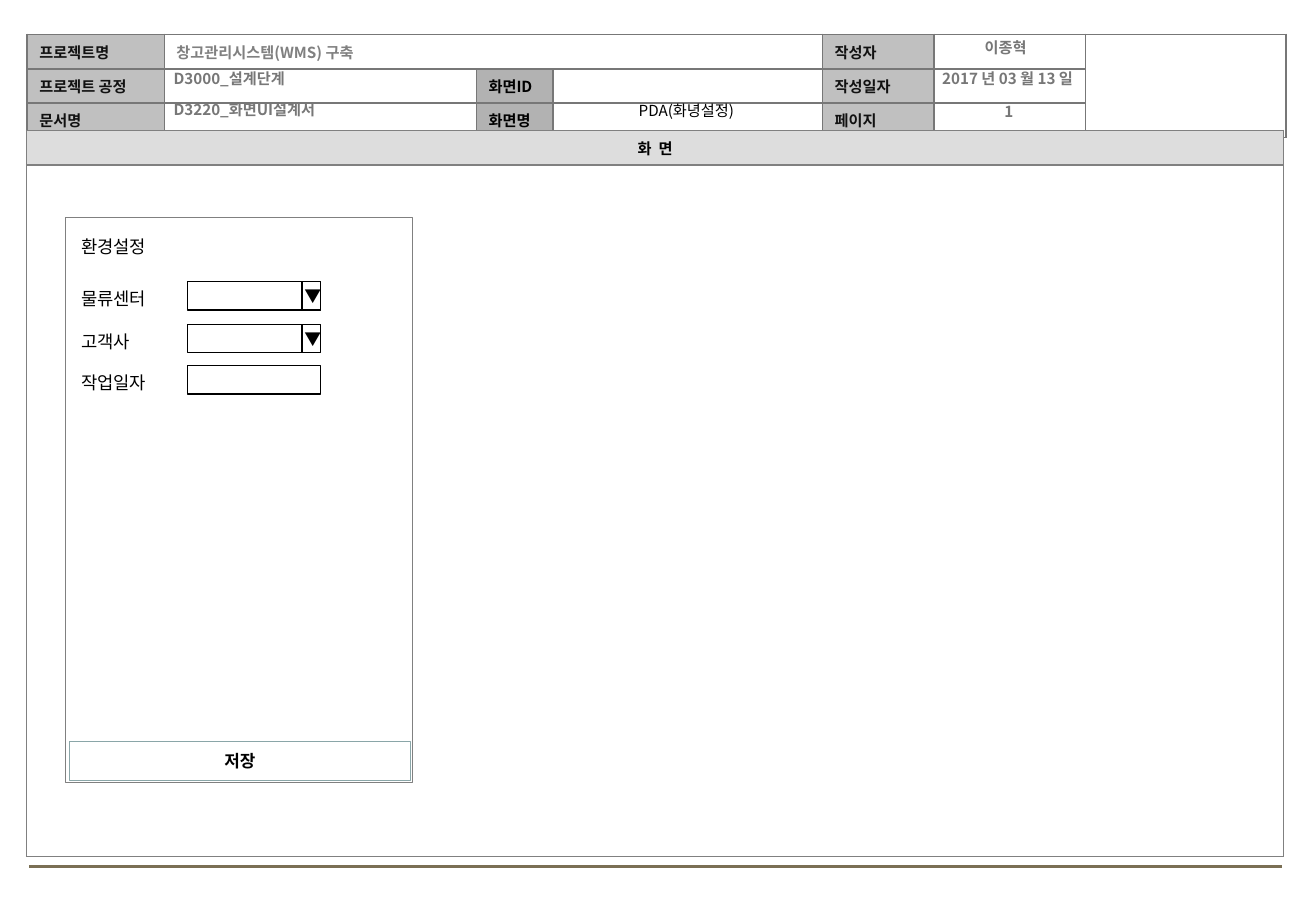
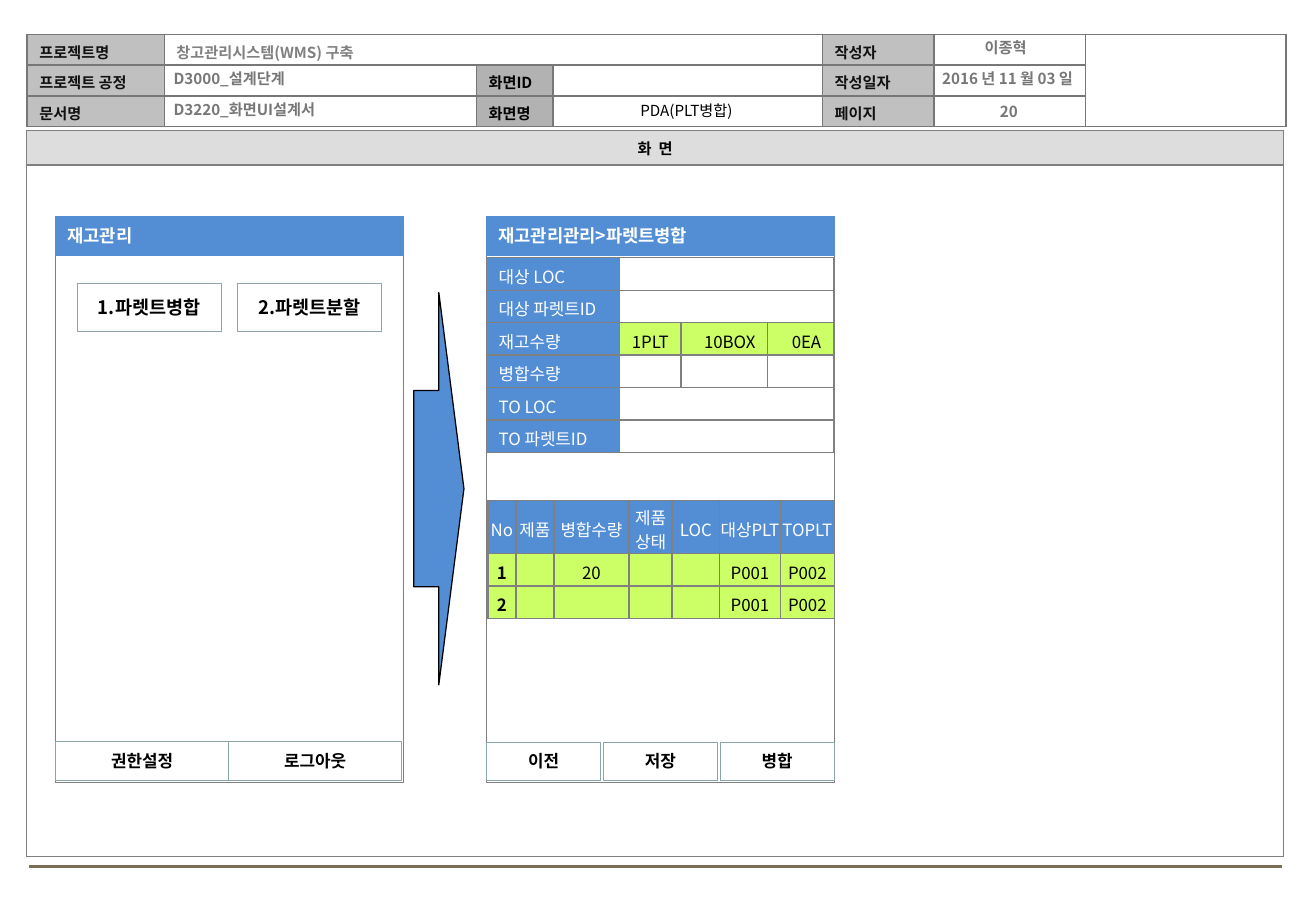
import pptx
import pptx.util
import pptx.dml.color
import pptx.enum.shapes
import pptx.enum.text
import pptx.oxml.ns
import lxml.etree

Pt = pptx.util.Pt
RGBColor = pptx.dml.color.RGBColor
SHAPE = pptx.enum.shapes.MSO_SHAPE
ANCHOR = pptx.enum.text.MSO_ANCHOR
ALIGN = pptx.enum.text.PP_ALIGN
AUTO = pptx.enum.text.MSO_AUTO_SIZE
qn = pptx.oxml.ns.qn

FONT = "Noto Sans CJK KR"
LINE_FACTOR = 1.45
BLACK = RGBColor(0x00, 0x00, 0x00)
WHITE = RGBColor(0xFF, 0xFF, 0xFF)
INK = RGBColor(0x11, 0x11, 0x11)
GRAY = RGBColor(0x80, 0x80, 0x80)
DARK_GRAY = RGBColor(0x77, 0x77, 0x77)
LABEL_GRAY = RGBColor(0xC0, 0xC0, 0xC0)
SCREEN_GRAY = RGBColor(0xB2, 0xB2, 0xB2)
BAND_GRAY = RGBColor(0xDD, 0xDD, 0xDD)
FOOTER = RGBColor(0x7A, 0x6F, 0x54)
TEAL = RGBColor(0x8A, 0xA6, 0xA8)
BLUE = RGBColor(0x53, 0x8E, 0xD5)
LIME = RGBColor(0xCC, 0xFF, 0x66)

# Cell kinds: fill, text format, side and top insets
KINDS = {
    "empty": {},
    "label": dict(fill=LABEL_GRAY, size=9, bold=True, color=INK),
    "screen": dict(fill=SCREEN_GRAY, size=9, bold=True),
    "project": dict(size=9, bold=True, color=GRAY),
    "band": dict(fill=BAND_GRAY, size=9, bold=True, align=ALIGN.CENTER, side=1.4, top=0),
    "field": dict(fill=BLUE, color=WHITE),
    "amount": dict(fill=LIME, align=ALIGN.RIGHT),
    "head": dict(fill=BLUE, color=WHITE, align=ALIGN.CENTER, side=0, top=2.2, bottom=0),
    "item": dict(fill=LIME, align=ALIGN.CENTER, side=0),
    "number": dict(fill=LIME, align=ALIGN.CENTER, side=0, bold=True),
}
EMPTY = ("", "empty")

HEADER_COLS = [81.3, 185, 45.5, 159.6, 66, 90, 118.8]
HEADER_ROWS = [
    [("프로젝트명", "label"), ("창고관리시스템(WMS) 구축", "project"), EMPTY, EMPTY,
     ("작성자", "label"), EMPTY, EMPTY],
    [("프로젝트 공정", "label"), EMPTY, ("화면ID", "screen"), EMPTY,
     ("작성일자", "label"), EMPTY, EMPTY],
    [("문서명", "label"), EMPTY, ("화면명", "screen"), EMPTY,
     ("페이지", "label"), EMPTY, EMPTY],
]
HEADER_MERGES = [(0, 1, 0, 3), (0, 6, 2, 6)]

SETTINGS = ["물류센터", "고객사", "작업일자"]
SETTING_TOPS = [167, 192.3, 216.7]

FORM_COLS = [78.7, 36.5, 51.4, 39]
FORM_ROWS = [
    [("대상 LOC", "field")] + [EMPTY] * 3,
    [("대상 파렛트ID", "field")] + [EMPTY] * 3,
    [("재고수량", "field"), ("1PLT", "amount"), ("10BOX", "amount"), ("0EA", "amount")],
    [("병합수량", "field")] + [EMPTY] * 3,
    [("TO LOC", "field")] + [EMPTY] * 3,
    [("TO 파렛트ID", "field")] + [EMPTY] * 3,
]
FORM_MERGES = [(r, 1, r, 3) for r in (0, 1, 4, 5)]

PALLET_COLS = [16.6, 22.5, 44.6, 25.5, 28.2, 36, 32]
PALLETS = [
    ["No", "제품", "병합수량", "제품상태", "LOC", "대상PLT", "TOPLT"],
    ["1", "", "20", "", "", "P001", "P002"],
    ["2", "", "", "", "", "P001", "P002"],
]


def write(tf, text, size=10, bold=False, color=BLACK, align=ALIGN.LEFT):
    p = tf.paragraphs[0]
    p.alignment = align
    if not text:
        p._p.get_or_add_endParaRPr().set("sz", str(int(size * 100)))
        return
    r = p.add_run()
    r.text = text
    r.font.size = Pt(size)
    r.font.bold = bold
    r.font.color.rgb = color
    r.font.name = FONT
    lxml.etree.SubElement(r._r.get_or_add_rPr(), qn("a:ea")).set("typeface", FONT)


def set_insets(target, side, top, bottom):
    target.margin_left = target.margin_right = Pt(side)
    target.margin_top, target.margin_bottom = Pt(top), Pt(bottom)


def add_text(slide, x, y, w, h, text, wrap=True, **fmt):
    tf = slide.shapes.add_textbox(Pt(x), Pt(y), Pt(w), Pt(h)).text_frame
    tf.word_wrap = wrap
    tf.auto_size = AUTO.SHAPE_TO_FIT_TEXT
    write(tf, text, **fmt)


def add_box(slide, x, y, w, h, text="", fill=None, line=GRAY, width=0.25,
            shape=SHAPE.RECTANGLE, **fmt):
    sp = slide.shapes.add_shape(shape, Pt(x), Pt(y), Pt(w), Pt(h))
    sp.shadow.inherit = False
    if fill is None:
        sp.fill.background()
    else:
        sp.fill.solid()
        sp.fill.fore_color.rgb = fill
    sp.line.color.rgb = line
    sp.line.width = Pt(width)
    if text:
        sp.text_frame.vertical_anchor = ANCHOR.MIDDLE
        write(sp.text_frame, text, **fmt)
    return sp


def add_button(slide, x, y, w, h, text, size=10):
    add_box(slide, x, y, w, h, text, line=TEAL, size=size, bold=True, align=ALIGN.CENTER)


def set_borders(cell, color):
    tc_pr = cell._tc.get_or_add_tcPr()
    for side in ("a:lnL", "a:lnR", "a:lnT", "a:lnB"):
        ln = lxml.etree.SubElement(tc_pr, qn(side), w=str(Pt(1)))
        fill = lxml.etree.SubElement(ln, qn("a:solidFill"))
        lxml.etree.SubElement(fill, qn("a:srgbClr"), val=str(color))


def format_cell(cell, height, text, border, fill=None, side=7.2, top=3.6, bottom=None, **fmt):
    """Fill a cell; the bottom inset shrinks so one line fits the row height."""
    set_borders(cell, border)
    if fill is None:
        cell.fill.background()
    else:
        cell.fill.solid()
        cell.fill.fore_color.rgb = fill
    if bottom is None:
        spare = height - top - LINE_FACTOR * fmt.get("size", 10)
        bottom = max(0, min(top, spare))
    set_insets(cell, side, top, bottom)
    cell.vertical_anchor = ANCHOR.MIDDLE
    write(cell.text_frame, text, **fmt)


def add_table(slide, x, y, cols, heights, rows, merges=(), border=GRAY):
    frame = slide.shapes.add_table(len(rows), len(cols), Pt(x), Pt(y),
                                   Pt(sum(cols)), Pt(sum(heights)))
    table = frame.table
    table.first_row = table.horz_banding = False
    for column, width in zip(table.columns, cols):
        column.width = Pt(width)
    for i, (height, row) in enumerate(zip(heights, rows)):
        table.rows[i].height = Pt(height)
        for j, (text, kind) in enumerate(row):
            format_cell(table.cell(i, j), height, text, border, **KINDS[kind])
    for r1, c1, r2, c2 in merges:
        table.cell(r1, c1).merge(table.cell(r2, c2))


def new_slide(prs, screen, date, page, row_height):
    """Add a slide with the document header, the screen frame and the footer line."""
    slide = prs.slides.add_slide(prs.slide_layouts[6])
    footer = slide.shapes.add_connector(pptx.enum.shapes.MSO_CONNECTOR.STRAIGHT,
                                        Pt(17.3), Pt(513.7), Pt(760), Pt(513.7))
    footer.line.color.rgb = FOOTER
    footer.line.width = Pt(1.75)
    lxml.etree.SubElement(footer._element.spPr, qn("a:effectLst"))
    add_table(slide, 16.1, 20.4, HEADER_COLS, [row_height] * 3, HEADER_ROWS,
              HEADER_MERGES, DARK_GRAY)
    note = dict(size=9, bold=True, color=DARK_GRAY)
    add_text(slide, 95.8, 37.4, 390, 18, "D3000_설계단계", **note)
    add_text(slide, 95.8, 56, 390, 18, "D3220_화면UI설계서", **note)
    add_table(slide, 15.8, 77.2, [745], [20.7, 410], [[("화  면", "band")], [EMPTY]])
    note["align"] = ALIGN.CENTER
    add_text(slide, 553, 57, 90, 18, page, **note)
    add_text(slide, 328.3, 56.2, 157, 18, screen, size=9, align=ALIGN.CENTER)
    add_text(slide, 540.7, 37.4, 113, 18, date, **note)
    add_text(slide, 539.5, 19, 113, 18, "이종혁", **note)
    return slide


def add_device(slide, x, title=None):
    """Outline of a handheld screen, with a title bar if it has a title."""
    add_box(slide, x, 128.8, 206, 334.8)
    if title:
        add_box(slide, x, 128.2, 206, 23.2, title, fill=BLUE, line=BLUE,
                size=10.5, bold=True, color=WHITE)


def build_settings(prs):
    slide = new_slide(prs, "PDA(화녕설정)", "2017 년 03 월 13 일", "1", 20.4)
    add_device(slide, 38.6)
    add_button(slide, 41, 439.6, 202.4, 22.8, "저장")
    add_text(slide, 41, 136, 212, 20, "환경설정", size=10.5)
    for name, top in zip(SETTINGS, SETTING_TOPS):
        add_text(slide, 41, top, 57, 20, name, wrap=False, size=10.5)
        add_box(slide, 111.2, top, 78.8, 16.8, line=BLACK, width=0.75)
        if name != "작업일자":
            arrow = add_box(slide, 179, top, 11.2, 16.8, "▼", fill=WHITE,
                            line=BLACK, width=0.75)
            arrow.text_frame.word_wrap = False
            set_insets(arrow.text_frame, 1.4, 2.8, 2.8)


def build_merge(prs):
    slide = new_slide(prs, "PDA(PLT병합)", "2016 년 11 월 03 일", "20", 18.2)
    menu_x, merge_x = 32.9, 288.4
    add_device(slide, menu_x, "재고관리")
    for i, name in enumerate(["권한설정", "로그아웃"]):
        add_button(slide, menu_x + i * 102.6, 439.6, 102.6, 22.8, name)
    for i, name in enumerate(["1.파렛트병합", "2.파렛트분할"]):
        add_button(slide, 45.8 + i * 94.9, 167.8, 85.4, 28.8, name, size=11)
    add_box(slide, 245.2, 173.4, 29.8, 232.6, fill=BLUE, line=BLACK, width=0.75,
            shape=SHAPE.RIGHT_ARROW)

    add_device(slide, merge_x, "재고관리관리>파렛트병합")
    for i, name in enumerate(["이전", "저장", "병합"]):
        add_button(slide, merge_x + i * 69.2, 440, 67.7, 22.5, name)
    add_table(slide, merge_x, 152.8, FORM_COLS, [19.25] * 6, FORM_ROWS, FORM_MERGES)
    kinds = [["head"] * 7] + [["number"] + ["item"] * 6] * 2
    rows = [list(zip(texts, row_kinds)) for texts, row_kinds in zip(PALLETS, kinds)]
    add_table(slide, 289.2, 296.8, PALLET_COLS, [31.4, 19.25, 19.25], rows)


def main():
    prs = pptx.Presentation()
    prs.slide_width, prs.slide_height = Pt(780), Pt(540)
    build_settings(prs)
    build_merge(prs)
    prs.save("out.pptx")


if __name__ == "__main__":
    main()
